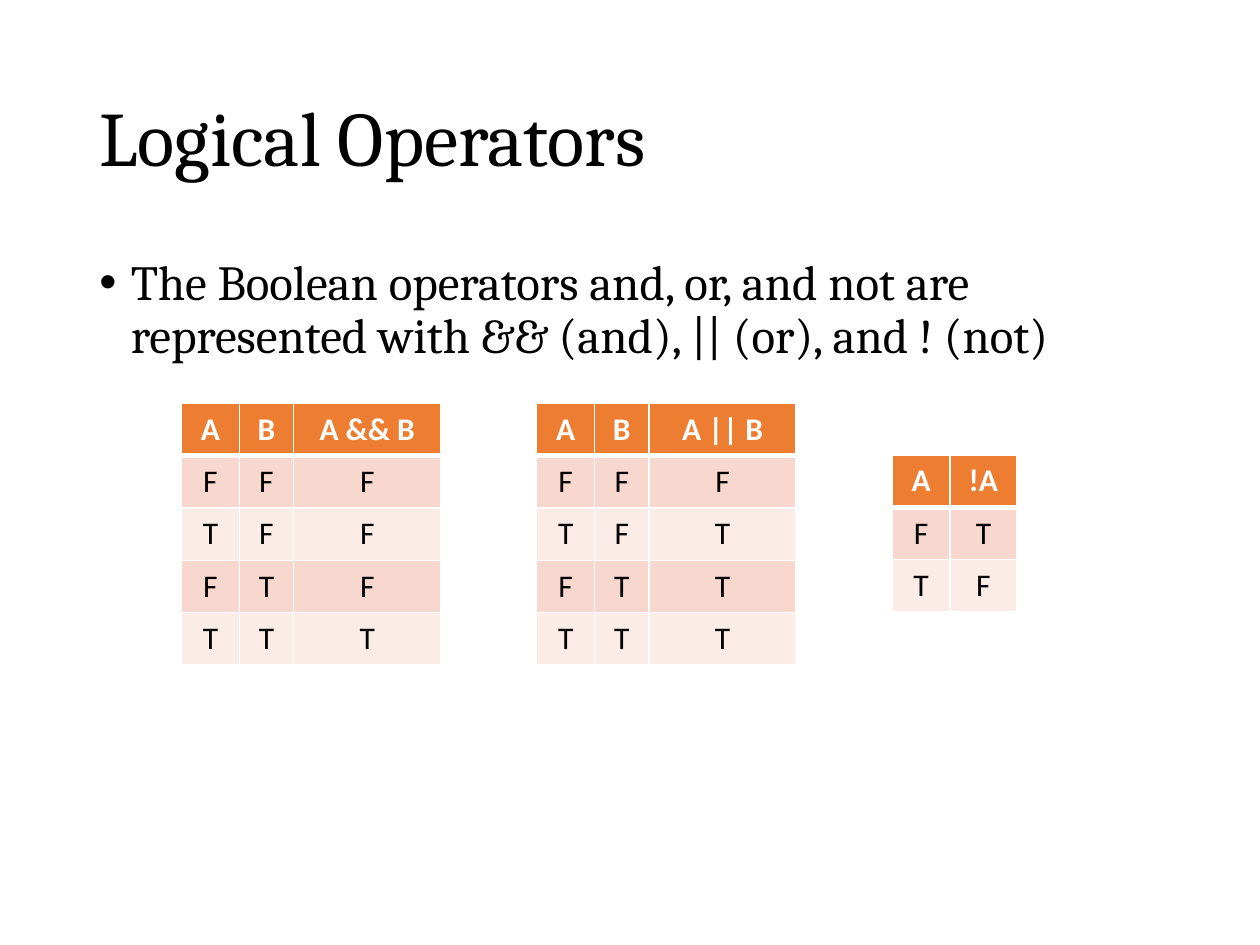
import pptx
import pptx.util
import pptx.dml.color
import pptx.enum.text
import pptx.oxml
import pptx.oxml.ns

Inches = pptx.util.Inches
Pt = pptx.util.Pt
ANCHOR = pptx.enum.text.MSO_ANCHOR
ALIGN = pptx.enum.text.PP_ALIGN

BLACK, WHITE, ORANGE = "000000", "FFFFFF", "ED7D31"
BANDS = ["F8D7CE", "FCECE8"]
ROW_HEIGHT = 0.416


def color(hex_value):
    return pptx.dml.color.RGBColor.from_string(hex_value)


def a_element(xml):
    """Parse one drawing element written with the a: prefix."""
    return pptx.oxml.parse_xml(xml.replace(" ", f' {pptx.oxml.ns.nsdecls("a")} ', 1))


def write(frame, text, size, font="Cambria", hex_value=BLACK, bold=False,
          align=ALIGN.LEFT, spacing=None, bullet=False):
    paragraph = frame.paragraphs[0]
    paragraph.text = text
    paragraph.alignment = align
    paragraph.line_spacing = spacing
    if bullet:
        properties = paragraph._p.get_or_add_pPr()
        properties.set("marL", str(Inches(0.25)))
        properties.set("indent", str(-Inches(0.25)))
        properties.append(a_element('<a:buFont typeface="Arial"/>'))
        properties.append(a_element('<a:buChar char="•"/>'))
    paragraph.font.size = Pt(size)
    paragraph.font.name = font
    paragraph.font.bold = bold
    paragraph.font.color.rgb = color(hex_value)


def add_text(slide, box, text, anchor=ANCHOR.TOP, **style):
    frame = slide.shapes.add_textbox(*map(Inches, box)).text_frame
    frame.word_wrap = True
    frame.vertical_anchor = anchor
    write(frame, text, spacing=0.9, **style)


def set_borders(cell, **widths):
    """Draw white borders; keys are L, R, T and B, widths in points."""
    properties = cell._tc.get_or_add_tcPr()
    for position, side in enumerate("LRTB"):
        properties.insert(position, a_element(
            f'<a:ln{side} w="{Pt(widths.get(side, 1))}"><a:solidFill>'
            f'<a:srgbClr val="{WHITE}"/></a:solidFill></a:ln{side}>'))


def add_truth_table(slide, left, top, widths, rows):
    box = (left, top, sum(widths), ROW_HEIGHT * len(rows))
    table = slide.shapes.add_table(len(rows), len(widths), *map(Inches, box)).table
    for column, width in zip(table.columns, widths):
        column.width = Inches(width)
    for r, values in enumerate(rows):
        table.rows[r].height = Inches(ROW_HEIGHT)
        header = r == 0
        for c, value in enumerate(values):
            cell = table.cell(r, c)
            cell.vertical_anchor = ANCHOR.MIDDLE
            cell.fill.solid()
            cell.fill.fore_color.rgb = color(ORANGE if header else BANDS[(r - 1) % 2])
            # A thick rule separates the header from the values
            set_borders(cell, B=3 if header else 1, T=3 if r == 1 else 1)
            write(cell.text_frame, value, 18, font="Calibri", bold=header,
                  hex_value=WHITE if header else BLACK, align=ALIGN.CENTER)


def main():
    deck = pptx.Presentation()
    deck.slide_width, deck.slide_height = Inches(10), Inches(7.5)
    slide = deck.slides.add_slide(deck.slide_layouts[6])

    # Title and statement
    add_text(slide, (0.69, 0.4, 8.62, 1.45), "Logical Operators",
             anchor=ANCHOR.MIDDLE, size=44)
    add_text(slide, (0.69, 2, 8.62, 4.76),
             "The Boolean operators and, or, and not are represented with "
             "&& (and), || (or), and ! (not)", size=28, bullet=True)

    # Truth tables for and, or, not
    first_left, step = 1.44, 2.82
    binary_widths = [0.46, 0.43, 1.17]
    inputs = ["FF", "TF", "FT", "TT"]
    for i, (operator, results) in enumerate([("&&", "FFFT"), ("||", "FTTT")]):
        rows = [["A", "B", f"A {operator} B"]]
        rows += [[*pair, result] for pair, result in zip(inputs, results)]
        add_truth_table(slide, first_left + i * step, 3.2, binary_widths, rows)
    add_truth_table(slide, first_left + 2 * step, 3.61, [0.46, 0.53],
                    [["A", "!A"], "FT", "TF"])

    deck.save("out.pptx")


if __name__ == "__main__":
    main()
